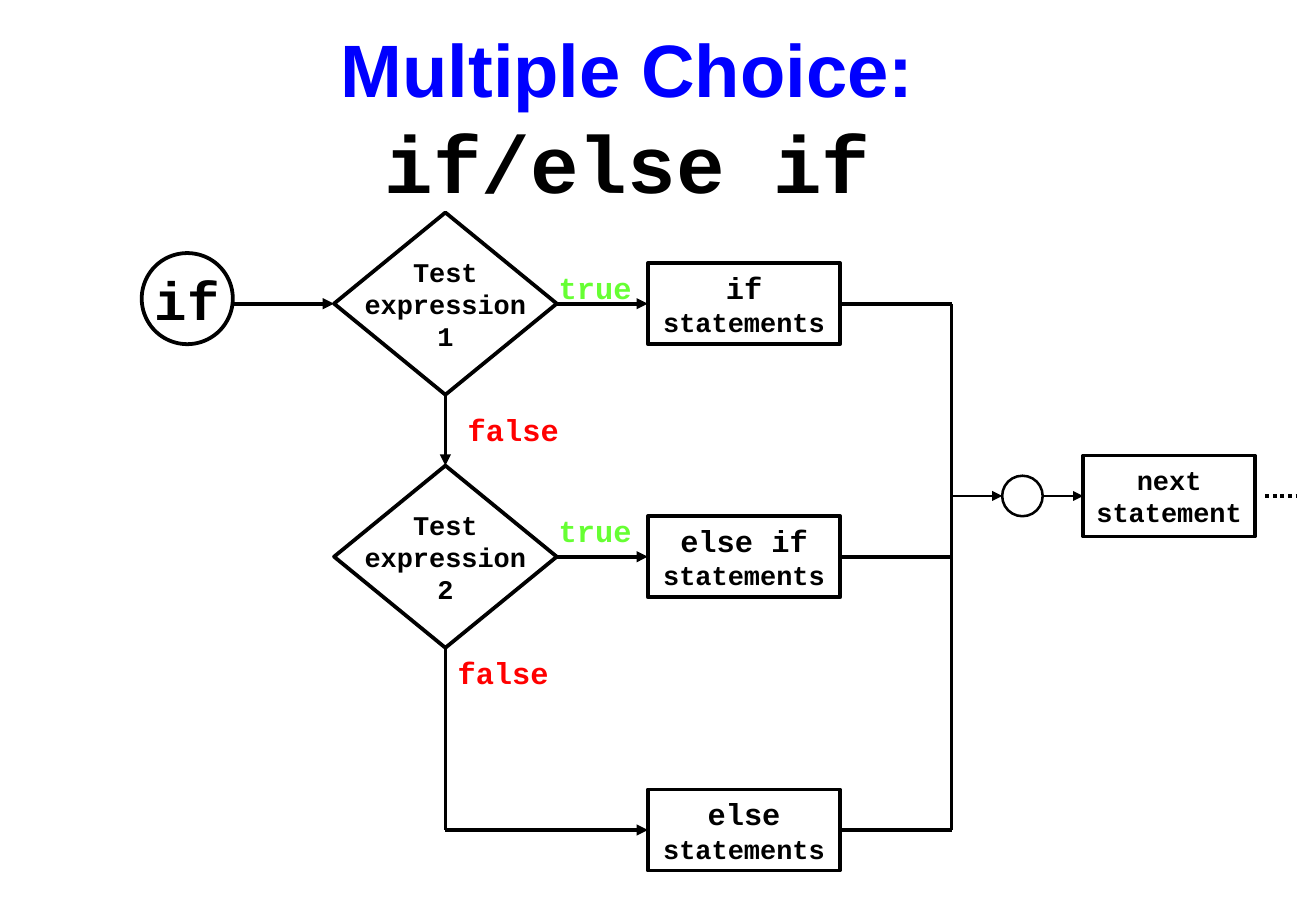
from lxml import etree
from pptx import Presentation, util as u
from pptx.dml.color import RGBColor
from pptx.enum import dml, shapes, text
from pptx.oxml import ns

BLACK = RGBColor(0x00, 0x00, 0x00)
BLUE = RGBColor(0x00, 0x00, 0xFF)
GREEN = RGBColor(0x66, 0xFF, 0x33)
RED = RGBColor(0xFF, 0x00, 0x00)
CODE_FONT = "Courier New"
THICK, THIN = 2.25, 1.5

# Grid: row centres, and left and right edges of each column (points)
IF_ROW, ELSE_IF_ROW, ELSE_ROW, NEXT_ROW = 180, 330, 492, 294
START_LEFT, START_RIGHT = 84, 138
TEST_LEFT, TEST_RIGHT = 198, 330
ACTION_LEFT, ACTION_RIGHT = 384, 498
MERGE_X = 564
JOIN_LEFT, JOIN_RIGHT = 594, 618
NEXT_LEFT, NEXT_RIGHT = 642, 744
TEST_X = (TEST_LEFT + TEST_RIGHT) / 2
TEST_HALF = 54

# Content: paragraphs are lists of (text, size) runs
TITLE = [("Multiple Choice:", "Arial", 44, BLUE), ("if/else if", CODE_FONT, 48, BLACK)]


def test_text(number):
    return [[(word, 16)] for word in ("Test", "expression", number)]


def action_text(keyword):
    return [[(keyword, 18), (" statements", 16)]]


SHAPE = shapes.MSO_SHAPE
# kind, left, right, row centre, height, line weight, wrap, paragraphs
NODES = [
    (SHAPE.OVAL, START_LEFT, START_RIGHT, 177, 54, THICK, False, [[("if", 32)]]),
    (SHAPE.OVAL, JOIN_LEFT, JOIN_RIGHT, NEXT_ROW, 24, THIN, False, []),
    (SHAPE.RECTANGLE, NEXT_LEFT, NEXT_RIGHT, NEXT_ROW, 48, THICK, False,
     [[("next", 16)], [("statement", 16)]]),
]
for row, number in ((IF_ROW, "1"), (ELSE_IF_ROW, "2")):
    NODES.append((SHAPE.DIAMOND, TEST_LEFT, TEST_RIGHT, row, 2 * TEST_HALF,
                  THICK, False, test_text(number)))
for row, keyword in ((IF_ROW, "if"), (ELSE_IF_ROW, "else if"), (ELSE_ROW, "else")):
    NODES.append((SHAPE.RECTANGLE, ACTION_LEFT, ACTION_RIGHT, row, 48,
                  THICK, True, action_text(keyword)))

# text, colour, left, top, width
LABELS = [
    ("true", GREEN, 324, IF_ROW - 24, 57.6),
    ("true", GREEN, 324, ELSE_IF_ROW - 30, 57.6),
    ("false", RED, 270, 240, 68.4),
    ("false", RED, 264, 384, 68.4),
]

# start x, start y, end x, end y, weight, arrowhead at the end
LINES = [
    (START_RIGHT, IF_ROW, TEST_LEFT, IF_ROW, THICK, True),
    (TEST_RIGHT, IF_ROW, ACTION_LEFT, IF_ROW, THICK, True),
    (TEST_RIGHT, ELSE_IF_ROW, ACTION_LEFT, ELSE_IF_ROW, THICK, True),
    (TEST_X, IF_ROW + TEST_HALF, TEST_X, ELSE_IF_ROW - TEST_HALF, THICK, True),
    (TEST_X, ELSE_IF_ROW + TEST_HALF, TEST_X, ELSE_ROW, THICK, False),
    (TEST_X, ELSE_ROW, ACTION_LEFT, ELSE_ROW, THICK, True),
    (MERGE_X, IF_ROW, MERGE_X, ELSE_ROW, THIN, False),
    (MERGE_X, NEXT_ROW, JOIN_LEFT, NEXT_ROW, THIN, True),
    (JOIN_RIGHT, NEXT_ROW, NEXT_LEFT, NEXT_ROW, THIN, True),
]
for row in (IF_ROW, ELSE_IF_ROW, ELSE_ROW):
    LINES.append((ACTION_RIGHT, row, MERGE_X, row, THICK, False))


def place(box, left, top, width, height):
    box.left, box.top = u.Pt(left), u.Pt(top)
    box.width, box.height = u.Pt(width), u.Pt(height)


def add_run(para, words, font, size, color):
    span = para.add_run()
    span.text = words
    span.font.name, span.font.size = font, u.Pt(size)
    span.font.bold = True
    span.font.color.rgb = color


def write(box, paragraphs, color, wrap):
    frame = box.text_frame
    frame.word_wrap = wrap
    frame.vertical_anchor = text.MSO_ANCHOR.MIDDLE
    for index, runs in enumerate(paragraphs):
        para = frame.add_paragraph() if index else frame.paragraphs[0]
        para.alignment = text.PP_ALIGN.CENTER
        for words, size in runs:
            add_run(para, words, CODE_FONT, size, color)


def add_line(page, x1, y1, x2, y2, weight, arrow):
    line = page.shapes.add_connector(
        shapes.MSO_CONNECTOR.STRAIGHT, u.Pt(x1), u.Pt(y1), u.Pt(x2), u.Pt(y2))
    line.line.color.rgb = BLACK
    line.line.width = u.Pt(weight)
    if arrow:
        etree.SubElement(line.line._get_or_add_ln(), ns.qn("a:tailEnd"), type="triangle")
    etree.SubElement(line._element.spPr, ns.qn("a:effectLst"))
    return line


def main():
    deck = Presentation()
    deck.slide_width, deck.slide_height = u.Pt(780), u.Pt(540)
    page = deck.slides.add_slide(deck.slide_layouts[5])

    # Title, two lines in one paragraph
    title = page.shapes.title
    place(title, 36, 24, 672, 90)
    title.text_frame.auto_size = text.MSO_AUTO_SIZE.NONE
    title.text_frame.vertical_anchor = text.MSO_ANCHOR.MIDDLE
    para = title.text_frame.paragraphs[0]
    para.alignment = text.PP_ALIGN.CENTER
    for index, run in enumerate(TITLE):
        if index:
            para.add_line_break()
        add_run(para, *run)

    # Flow lines, with a dotted continuation at the right
    for line in LINES:
        add_line(page, *line)
    dots = add_line(page, 750, NEXT_ROW, 768, NEXT_ROW, THICK, False)
    dots.line.dash_style = dml.MSO_LINE.ROUND_DOT

    # Flowchart nodes
    for kind, left, right, row, height, weight, wrap, paragraphs in NODES:
        node = page.shapes.add_shape(kind, 0, 0, 0, 0)
        place(node, left, row - height / 2, right - left, height)
        node.shadow.inherit = False
        node.fill.background()
        node.line.color.rgb = BLACK
        node.line.width = u.Pt(weight)
        write(node, paragraphs, BLACK, wrap)

    # Branch labels
    for words, color, left, top, width in LABELS:
        label = page.shapes.add_textbox(0, 0, 0, 0)
        place(label, left, top, width, 28.8)
        write(label, [[(words, 18)]], color, False)

    deck.save("out.pptx")


if __name__ == "__main__":
    main()
